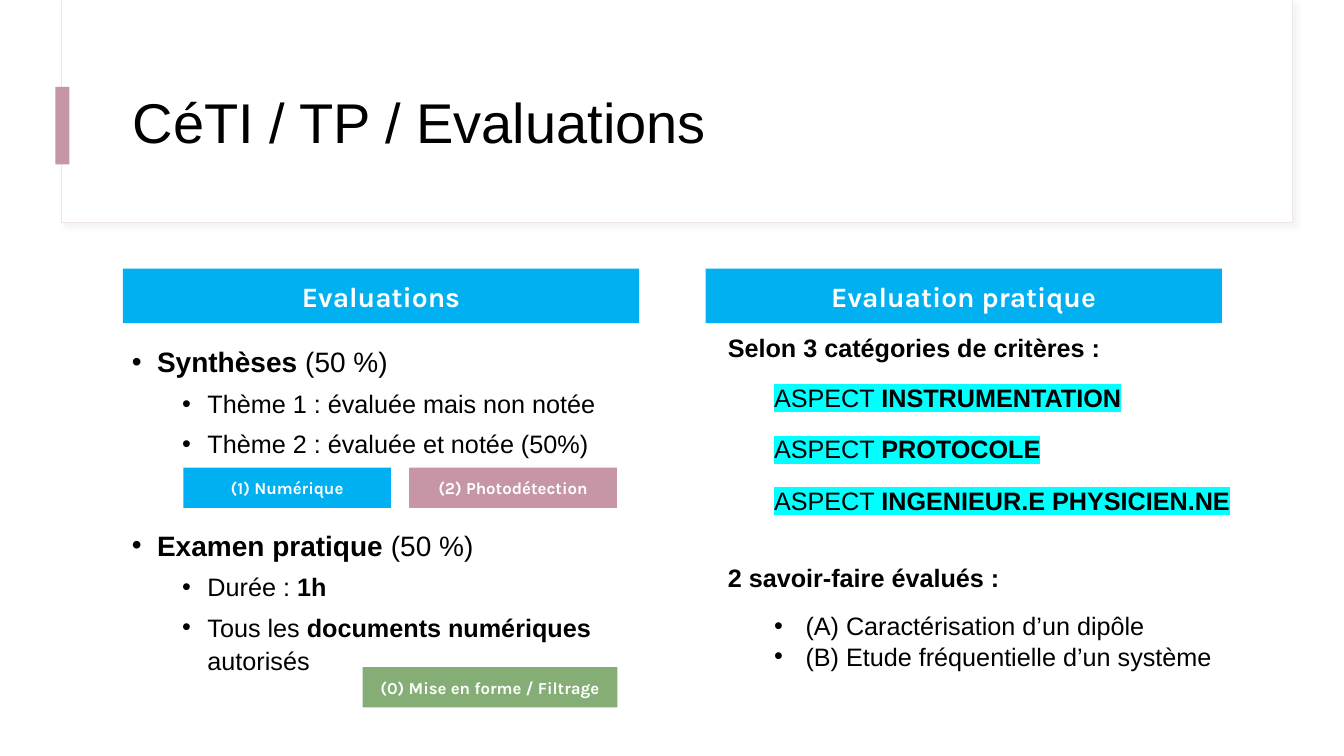
from lxml import etree
from pptx import Presentation
from pptx.dml.color import RGBColor
from pptx.enum.shapes import MSO_SHAPE
from pptx.enum.text import MSO_ANCHOR, PP_ALIGN
from pptx.oxml import parse_xml
from pptx.oxml.ns import nsdecls, qn
from pptx.util import Pt

# Content: a run is (text, bold)
TITLE = "CéTI / TP / Evaluations"
HEADINGS = ["Evaluations", "Evaluation pratique"]
# level, space before, runs
PROGRAMME = [
    (0, 0, [("Synthèses ", True), ("(50 %)", False)]),
    (1, 5, [("Thème 1 : évaluée mais non notée", False)]),
    (1, 5, [("Thème 2 : évaluée et notée (50%)", False)]),
    (0, 47, [("Examen pratique ", True), ("(50 %)", False)]),
    (1, 5, [("Durée : ", False), ("1h", True)]),
    (1, 5, [("Tous les ", False), ("documents numériques ", True), ("autorisés", False)]),
]
ASPECTS = ["INSTRUMENTATION", "PROTOCOLE", "INGENIEUR.E PHYSICIEN.NE"]
# text, top
SUBHEADINGS = [("Selon 3 catégories de critères :", 234), ("2 savoir-faire évalués :", 398.2)]
SKILLS = ["(A) Caractérisation d’un dipôle", "(B) Etude fréquentielle d’un système"]
# text, colour, left, top, width
THEMES = [
    ("(1) Numérique", "blue", 131, 334.1, 148.3),
    ("(2) Photodétection", "pink", 292.3, 334.1, 148.3),
    ("(0) Mise en forme / Filtrage", "green", 259, 476.6, 182),
]

COLOURS = {
    "white": "FFFFFF", "black": "000000", "blue": "00B0F0", "pink": "C696A7",
    "green": "85AD76", "frame": "F0E5E5", "shadow": "D9D9D9", "highlight": "00FFFF",
}
COLUMN_LEFT, COLUMN_STEP, COLUMN_WIDTH = 87.8, 416.2, 368.8
HEADING_TOP, HEADING_HEIGHT = 192, 38.9
ASPECT_TOP, ASPECT_STEP = 269.2, 36.8
DETAIL_LEFT, SUBHEADING_LEFT = 545.8, 512.8

presentation = Presentation()
presentation.slide_width, presentation.slide_height = Pt(960), Pt(540)
slide = presentation.slides.add_slide(presentation.slide_layouts[6])


def colour(name):
    return RGBColor.from_string(COLOURS[name])


def add_rectangle(left, top, width, height, fill):
    shape = slide.shapes.add_shape(
        MSO_SHAPE.RECTANGLE, Pt(left), Pt(top), Pt(width), Pt(height))
    shape.shadow.inherit = False
    shape.fill.solid()
    shape.fill.fore_color.rgb = colour(fill)
    shape.line.fill.background()
    return shape


def add_run(paragraph, text, size, bold=False, font="Arial", ink="black", highlight=None):
    run = paragraph.add_run()
    run.text = text
    run.font.size, run.font.bold, run.font.name = Pt(size), bold, font
    run.font.color.rgb = colour(ink)
    if highlight:
        mark = parse_xml(f'<a:highlight {nsdecls("a")}>'
                         f'<a:srgbClr val="{COLOURS[highlight]}"/></a:highlight>')
        run.font.fill  # the highlight follows the text fill
        run.font._element.find(qn("a:solidFill")).addnext(mark)


def add_label(text, size, fill, left, top, width, height):
    frame = add_rectangle(left, top, width, height, fill).text_frame
    frame.vertical_anchor = MSO_ANCHOR.MIDDLE
    paragraph = frame.paragraphs[0]
    paragraph.alignment = PP_ALIGN.CENTER
    add_run(paragraph, text, size, True, "Karla", "white")


def add_text_frame(left, top, width, height):
    frame = slide.shapes.add_textbox(Pt(left), Pt(top), Pt(width), Pt(height)).text_frame
    frame.word_wrap = True
    return frame


def next_paragraph(frame, index):
    return frame.add_paragraph() if index else frame.paragraphs[0]


def set_bullet(paragraph, margin, hanging):
    properties = paragraph._p.get_or_add_pPr()
    properties.set("marL", str(Pt(margin)))
    properties.set("indent", str(-Pt(hanging)))
    etree.SubElement(properties, qn("a:buFont"), typeface="Arial")
    etree.SubElement(properties, qn("a:buChar"), char="•")


# Title frame with its soft shadow, and the accent bar
border = add_rectangle(43.9, 0, 879.1, 159.1, "white")
border.line.color.rgb = colour("frame")
border.line.width = Pt(0.75)
effects = border._element.spPr.find(qn("a:effectLst"))
effects.append(parse_xml(
    f'<a:outerShdw {nsdecls("a")} blurRad="{Pt(4)}" dist="{Pt(3)}" dir="2700000">'
    f'<a:srgbClr val="{COLOURS["shadow"]}"><a:alpha val="30000"/></a:srgbClr></a:outerShdw>'))
add_rectangle(44.6, 0, 878.4, 158.4, "white")
add_rectangle(39.6, 62, 10, 55.4, "pink")

title_frame = add_text_frame(87.8, 43.2, 800.6, 92.9)
title_frame.vertical_anchor = MSO_ANCHOR.MIDDLE
title_frame.paragraphs[0].line_spacing = 0.9
add_run(title_frame.paragraphs[0], TITLE, 40)

# Column headings
for column, heading in enumerate(HEADINGS):
    add_label(heading, 20, "blue", COLUMN_LEFT + column * COLUMN_STEP,
              HEADING_TOP, COLUMN_WIDTH, HEADING_HEIGHT)

# Left column: programme and theme labels
programme_frame = add_text_frame(87.1, 240.5, COLUMN_WIDTH, 290.9)
for index, (level, space, runs) in enumerate(PROGRAMME):
    paragraph = next_paragraph(programme_frame, index)
    paragraph.level = level
    paragraph.line_spacing = 1.1
    paragraph.space_before = Pt(space)
    set_bullet(paragraph, 18 + 36 * level, 18)
    for text, bold in runs:
        add_run(paragraph, text, 20 - 2 * level, bold)

for text, fill, left, top, width in THEMES:
    add_label(text, 12, fill, left, top, width, 28.8)

# Right column: subheadings, aspects and skills
for text, top in SUBHEADINGS:
    frame = add_text_frame(SUBHEADING_LEFT, top, COLUMN_WIDTH, 29)
    add_run(frame.paragraphs[0], text, 18, True)

for row, aspect in enumerate(ASPECTS):
    frame = add_text_frame(DETAIL_LEFT, ASPECT_TOP + row * ASPECT_STEP, 360, 29)
    add_run(frame.paragraphs[0], "ASPECT ", 18, highlight="highlight")
    add_run(frame.paragraphs[0], aspect, 18, True, highlight="highlight")

skills_frame = add_text_frame(DETAIL_LEFT, 432.7, 360, 51)
for index, skill in enumerate(SKILLS):
    paragraph = next_paragraph(skills_frame, index)
    set_bullet(paragraph, 22.5, 22.5)
    add_run(paragraph, skill, 18)

presentation.save("out.pptx")
